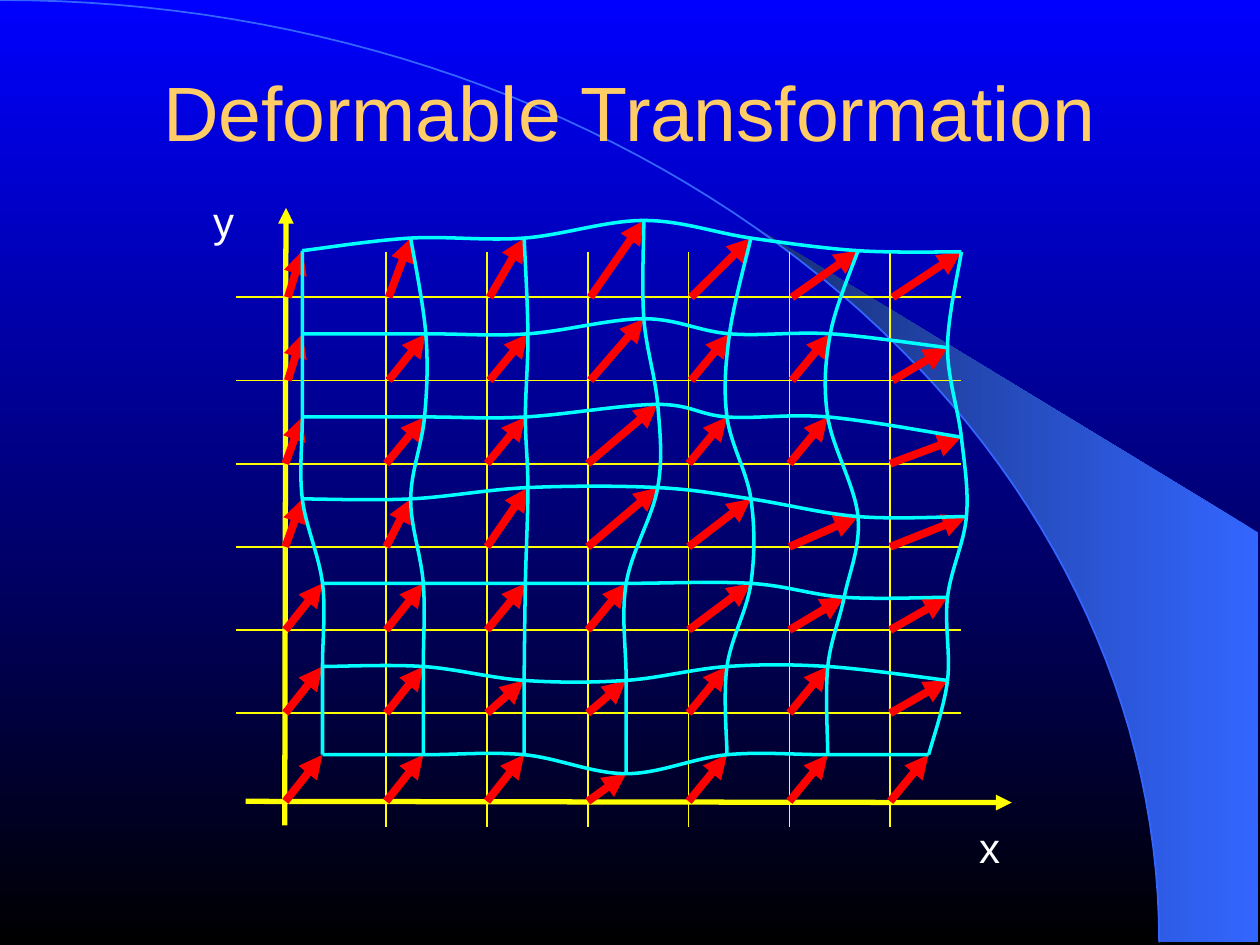
"""Build the Deformable Transformation slide on a 1000 by 750 grid."""
from math import cos, radians, sin

from lxml import etree
from pptx import Presentation
from pptx.dml.color import RGBColor
from pptx.enum.shapes import MSO_CONNECTOR
from pptx.enum.text import MSO_ANCHOR, PP_ALIGN
from pptx.oxml.ns import qn
from pptx.util import Inches, Pt

STRAIGHT = MSO_CONNECTOR.STRAIGHT
MID, TOP = MSO_ANCHOR.MIDDLE, MSO_ANCHOR.TOP
CENTER = PP_ALIGN.CENTER
HUES = {
    "sky": "0000FF", "night": "000000", "beam": "3366FF", "dusk": "172F75",
    "title": "FFCC66", "label": "FFFFFF", "grid": "FFFF00",
    "shift": "FF0000", "mesh": "00FFFF",
}
INK = {name: RGBColor.from_string(code) for name, code in HUES.items()}

deck = Presentation()
deck.slide_width, deck.slide_height = Inches(10), Inches(7.5)
UNIT = deck.slide_width // 1000
slide = deck.slides.add_slide(deck.slide_layouts[6])
shapes = slide.shapes


def join(start, end, ink, width, head=False):
    ends = [round(v * UNIT) for v in (*start, *end)]
    link = shapes.add_connector(STRAIGHT, *ends)
    link.line.color.rgb = INK[ink]
    link.line.width = Pt(width)
    if head:
        etree.SubElement(link.line._get_or_add_ln(), qn("a:tailEnd"), type="triangle")
    etree.SubElement(link._element.spPr, qn("a:effectLst"))


def trace(spots, ink, width, close=False, bend=False):
    spots = [(x * UNIT, y * UNIT) for x, y in spots]
    pen = shapes.build_freeform(*spots[0])
    pen.add_line_segments(spots[1:], close=close)
    form = pen.convert_to_shape()
    form.shadow.inherit = False
    form.fill.background()
    form.line.color.rgb = INK[ink]
    form.line.width = Pt(width)
    if bend:
        steps = list(form._element.iter(qn("a:lnTo")))
        for i in range(0, len(steps), 3):
            curve = etree.Element(qn("a:cubicBezTo"))
            steps[i].addprevious(curve)
            for step in steps[i:i + 3]:
                curve.append(step[0])
                step.getparent().remove(step)
    return form


back = slide.background.fill
back.gradient()
back.gradient_angle = 270

arc = []
for i in range(63):
    turn = radians(90 * i / 62)
    arc.append((920 * sin(turn), 748 - 748 * cos(turn)))
beam = trace([(999, 748), (999, 423)] + [p for p in arc if p[0] > 585],
             "beam", 1, close=True)
beam.line.fill.background()
beam.fill.gradient()
beam.fill.gradient_angle = 180
for fill, inks in ((back, ("sky", "night")), (beam.fill, ("beam", "dusk"))):
    for stop, ink, place in zip(fill.gradient_stops, inks, (0, 1)):
        stop.color.rgb = INK[ink]
        stop.position = place
trace(arc, "beam", 1)

TEXTS = [
    ("Deformable Transformation", (75, 12, 850, 151), 44, "title", MID, 1, (0, 0)),
    ("y", (159, 158, 37, 42), 24, "label", TOP, 0.8, (10, 5)),
    ("x", (767, 655, 37, 42), 24, "label", TOP, 0.8, (10, 5)),
]
for words, area, size, ink, anchor, lead, (side, edge) in TEXTS:
    frame = shapes.add_textbox(*(v * UNIT for v in area)).text_frame
    para = frame.paragraphs[0]
    para.text = words
    looks = [
        (frame, {"word_wrap": True, "vertical_anchor": anchor,
                 "margin_left": side * UNIT, "margin_right": side * UNIT,
                 "margin_top": edge * UNIT, "margin_bottom": edge * UNIT}),
        (para, {"alignment": CENTER, "line_spacing": lead}),
        (para.runs[0].font, {"name": "Arial", "size": Pt(size)}),
        (para.runs[0].font.color, {"rgb": INK[ink]}),
    ]
    for item, look in looks:
        for key, value in look.items():
            setattr(item, key, value)

cols = [226.5 + 80 * i for i in range(7)]
rows = [236 + 66 * i for i in range(6)] + [636]
join((226, 655), (227, 165), "grid", 3, head=True)
join((195, 636), (803, 637), "grid", 3, head=True)
for y in rows[:-1]:
    join((187, y), (763, y), "grid", 1)
for x in cols[1:]:
    join((x, 200), (x, 656), "grid", 1)

TIPS = [
    [(240, 199), (326, 189), (416, 189), (511, 175), (596, 189), (681, 199), (763, 200)],
    [(240, 265), (338, 265), (419, 265), (511, 253), (579, 265), (659, 265), (752, 276)],
    [(240, 331), (337, 331), (417, 331), (522, 321), (577, 331), (657, 331), (763, 347)],
    [(240, 396), (326, 396), (419, 387), (522, 387), (596, 396), (681, 410), (767, 410)],
    [(256, 463), (336, 463), (417, 463), (497, 463), (596, 463), (670, 474), (752, 474)],
    [(256, 529), (336, 529), (416, 540), (497, 540), (577, 529), (657, 529), (752, 540)],
    [(256, 599), (336, 599), (416, 599), (497, 614), (577, 599), (657, 599), (737, 599)],
]
for r, tips in enumerate(TIPS):
    nudge = 2 if r < 2 else 0
    for x, tip in zip(cols, tips):
        join((x + nudge, rows[r]), tip, "shift", 4.5, head=True)

for knots in TIPS + list(zip(*TIPS)):
    ends = [knots[0], *knots, knots[-1]]
    spots = [knots[0]]
    for (ax, ay), (bx, by), (cx, cy), (dx, dy) in zip(ends, ends[1:], ends[2:], ends[3:]):
        spots += [(bx + (cx - ax) / 6, by + (cy - ay) / 6),
                  (cx - (dx - bx) / 6, cy - (dy - by) / 6), (cx, cy)]
    trace(spots, "mesh", 2, bend=True)

deck.save("out.pptx")
